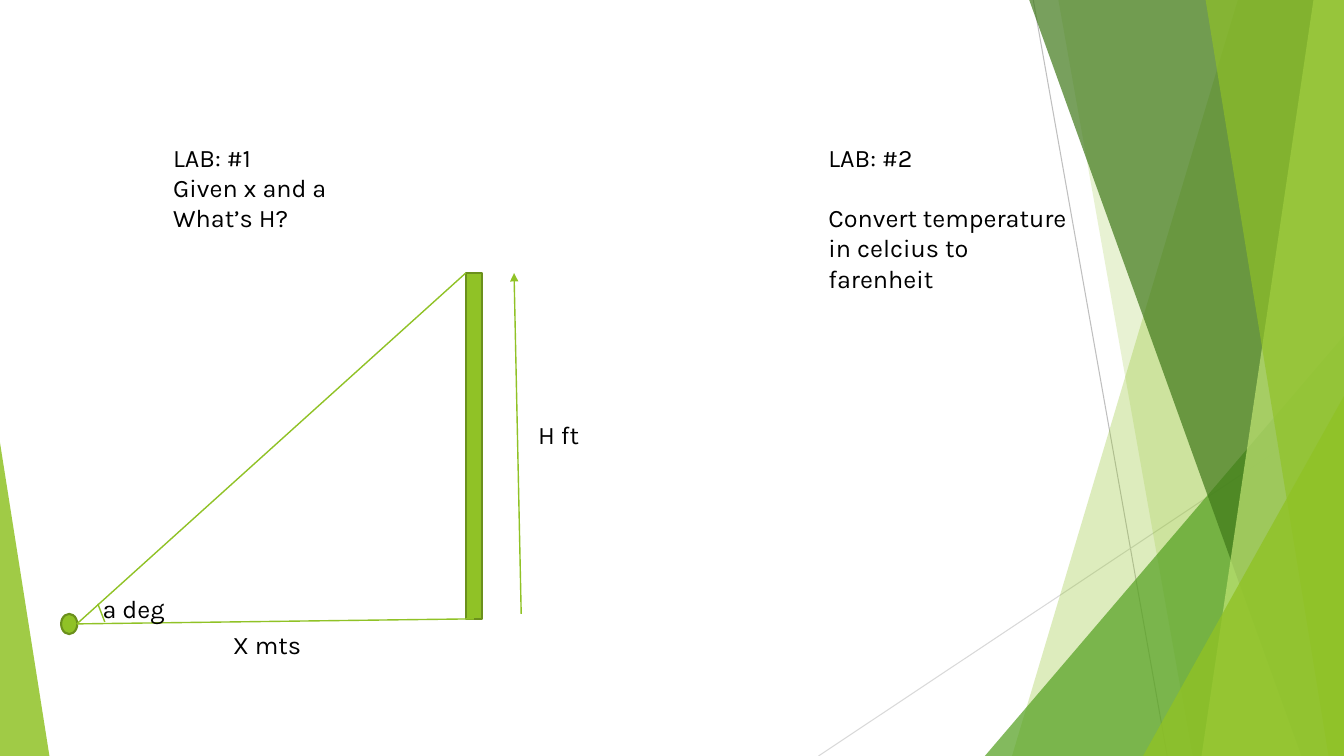
from lxml.etree import SubElement
from pptx import Presentation
from pptx.dml.color import RGBColor
from pptx.enum.shapes import MSO_CONNECTOR, MSO_SHAPE
from pptx.enum.text import MSO_AUTO_SIZE
from pptx.oxml.ns import qn
from pptx.util import Inches, Pt

COLORS = {
    "lime": "90C226", "green": "54A021", "forest": "3F7819", "pale": "C0E474",
    "outline": "6B901C", "gray": "BFBFBF", "light_gray": "D9D9D9", "text": "000000",
}


class SlideBuilder:
    """Draws on one slide; every length is a percentage of its width or height."""

    font = {"name": "Karla", "size": Pt(18)}

    def __init__(self, prs):
        self.width, self.height = prs.slide_width, prs.slide_height
        self.shapes = prs.slides.add_slide(prs.slide_layouts[6]).shapes

    def x(self, share):
        return round(self.width * share / 100)

    def y(self, share):
        return round(self.height * share / 100)

    def box(self, left, top, width, height):
        return self.x(left), self.y(top), self.x(width), self.y(height)

    def color(self, name):
        return RGBColor.from_string(COLORS[name])

    def paint(self, sp, fill, opacity=100, outline=None):
        sp.shadow.inherit = False
        sp.fill.solid()
        sp.fill.fore_color.rgb = self.color(fill)
        if opacity < 100:
            clr = sp.fill._xPr.find(qn("a:solidFill"))[0]
            SubElement(clr, qn("a:alpha")).set("val", str(opacity * 1000))
        if outline:
            sp.line.color.rgb = self.color(outline)
            sp.line.width = Pt(1.5)
        else:
            sp.line.fill.background()
        return sp

    def shape(self, kind, box, fill="lime", **style):
        return self.paint(self.shapes.add_shape(kind, *self.box(*box)), fill, **style)

    def facet(self, top_x, bottom_x, fill, opacity):
        """Full-height band from a slanted left edge to the slide's right edge."""
        fb = self.shapes.build_freeform(self.x(top_x), 0)
        fb.add_line_segments([(self.width, 0), (self.width, self.height),
                              (self.x(bottom_x), self.height)], close=True)
        self.paint(fb.convert_to_shape(), fill, opacity)

    def corner(self, left, top, width, apex, fill, opacity):
        """Triangle standing on the slide's bottom edge."""
        sp = self.shape(MSO_SHAPE.ISOSCELES_TRIANGLE, (left, top, width, 100 - top),
                        fill, opacity=opacity)
        sp.adjustments[0] = apex

    def line(self, start, end, color="lime", width=1, arrow=False):
        cxn = self.shapes.add_connector(MSO_CONNECTOR.STRAIGHT, self.x(start[0]),
                                        self.y(start[1]), self.x(end[0]), self.y(end[1]))
        cxn.line.color.rgb = self.color(color)
        cxn.line.width = Pt(width)
        if arrow:
            SubElement(cxn.line._get_or_add_ln(), qn("a:tailEnd")).set("type", "triangle")
        SubElement(cxn._element.spPr, qn("a:effectLst"))
        return cxn

    def text(self, box, *lines, gap=0):
        tf = self.shapes.add_textbox(*self.box(*box)).text_frame
        tf.word_wrap = True
        tf.auto_size = MSO_AUTO_SIZE.SHAPE_TO_FIT_TEXT
        for i, line in enumerate(lines):
            p = tf.add_paragraph() if i else tf.paragraphs[0]
            p.space_before = Pt(gap if i else 0)
            r = p.add_run()
            r.text = line
            for key, value in self.font.items():
                setattr(r.font, key, value)
            r.font.color.rgb = self.color("text")


def draw_backdrop(s):
    s.line((76.88, 0), (86.85, 100), "gray", 0.75)
    s.line((100, 53.73), (60.9, 100), "light_gray", 0.75)
    s.facet(92.1, 75.3, "lime", 30)
    s.facet(78.75, 88.73, "lime", 20)
    s.corner(73.28, 44.4, 26.72, 1, "green", 72)
    s.facet(76.58, 96.83, "forest", 70)
    s.facet(97.73, 89.4, "pale", 70)
    s.facet(89.7, 98.85, "lime", 65)
    s.corner(85.05, 52.4, 14.95, 1, "lime", 80)
    s.corner(0, 58.53, 3.68, 0, "lime", 85)


def draw_height_lab(s):
    pole_left, pole_top, pole_width, pole_height = 34.65, 36.13, 1.2, 45.73
    pole_foot = (pole_left + pole_width / 2, pole_top + pole_height)
    observer = (5.72, 82.53)
    pole = s.shape(MSO_SHAPE.RECTANGLE, (pole_left, pole_top, pole_width, pole_height),
                   outline="outline")
    s.shape(MSO_SHAPE.OVAL, (4.55, 81.2, 1.2, 2.67), outline="outline")
    ground = s.line(observer, pole_foot)
    ground.end_connect(pole, 2)
    s.text((16.58, 82.53, 7.8, 5.33), "X mts")
    s.line(observer, (pole_left, pole_top))
    s.text((6.9, 77.87, 7.05, 5.33), "a deg")
    s.line((38.78, 81.2), (38.25, pole_top), arrow=True)
    s.text((39.3, 54.8, 12.38, 5.33), "H ft")
    s.text((12.15, 18.13, 27.6, 13.47), "LAB: #1", "Given x and a", "What’s H?")
    s.line((7.28, 79.87), (7.8, 82.27))


def main():
    prs = Presentation()
    prs.slide_width, prs.slide_height = Inches(13.33), Inches(7.5)
    s = SlideBuilder(prs)
    draw_backdrop(s)
    draw_height_lab(s)
    s.text((60.9, 18.13, 19.95, 21.6), "LAB: #2",
           "Convert temperature in celcius to farenheit", gap=21.5)
    prs.save("out.pptx")


if __name__ == "__main__":
    main()
